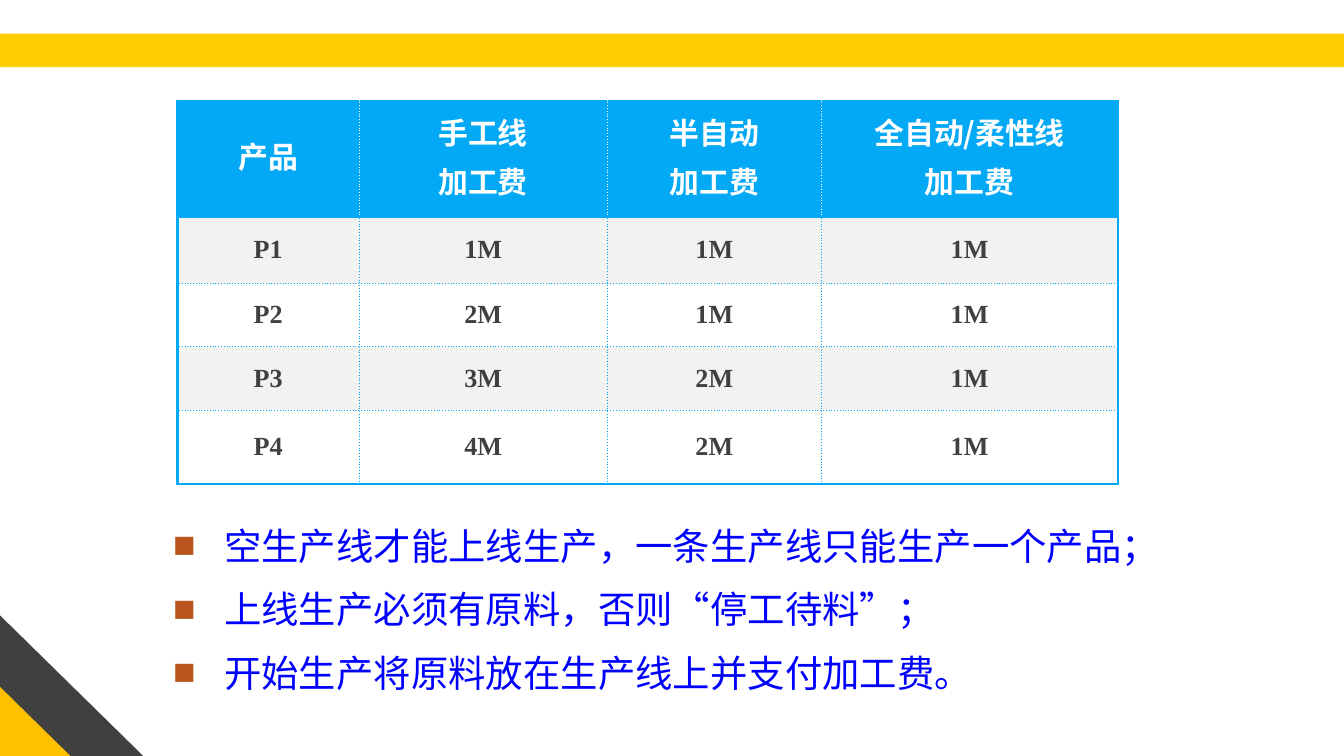
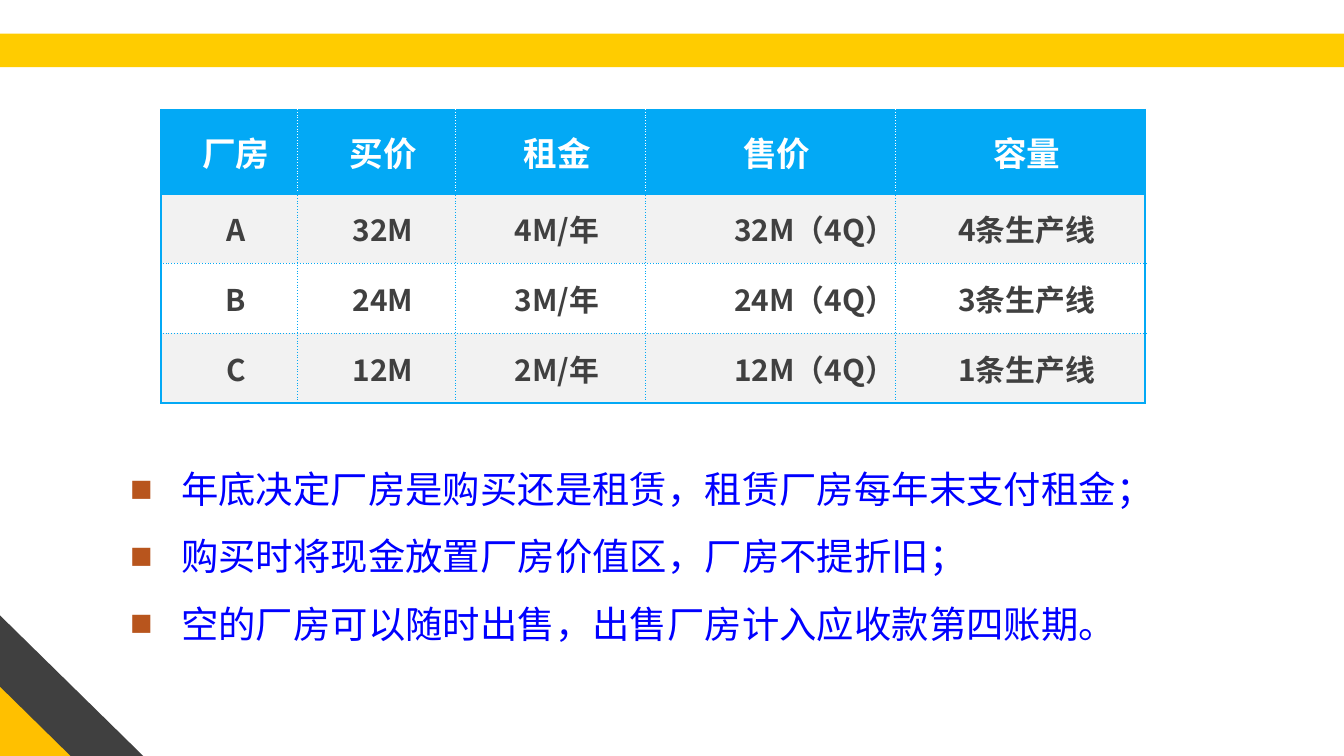
from dataclasses import dataclass
from typing import Optional

from lxml.etree import SubElement
from pptx import Presentation
from pptx.dml.color import RGBColor
from pptx.enum.shapes import MSO_SHAPE
from pptx.enum.text import MSO_ANCHOR, MSO_AUTO_SIZE, PP_ALIGN
from pptx.oxml import parse_xml
from pptx.oxml.ns import nsdecls, qn
from pptx.util import Inches, Pt

COLORS = {
    "band": "FFCC00",
    "corner": "FFC000",
    "dark": "404040",
    "header": "03A9F5",
    "stripe": "F2F2F2",
    "white": "FFFFFF",
    "note": "0000FF",
    "bullet": "B8551D",
}
SANS = "Noto Sans CJK SC"
SERIF = "Times New Roman"


@dataclass(frozen=True)
class Decoration:
    shape: MSO_SHAPE
    box: tuple[float, float, float, float]
    color: str
    flip: bool = False


@dataclass(frozen=True)
class FeeTable:
    left: float
    top: float
    widths: list[float]
    heights: list[float]
    rows: list[list[str]]
    header_size: int
    body_size: int
    body_font: str
    header_margins: tuple[float, float, float, float]
    body_margins: tuple[float, float, float, float]
    right_column: Optional[int] = None


@dataclass(frozen=True)
class Notes:
    box: tuple[float, float, float, float]
    lines: list[str]
    before: int = 0
    after: int = 0


DECORATIONS = [
    Decoration(MSO_SHAPE.RECTANGLE, (0, 0.25, 10, 0.25), "band"),
    Decoration(MSO_SHAPE.RIGHT_TRIANGLE, (0, 5.01, 0.64, 0.62), "corner"),
    Decoration(MSO_SHAPE.DIAGONAL_STRIPE, (0, 4.58, 1.08, 1.06), "dark", True),
]

PROCESSING_FEES = FeeTable(
    1.32, 0.75, [1.35, 1.85, 1.59, 2.21], [0.86, 0.5, 0.47, 0.47, 0.55],
    [
        ["产品", "手工线\n加工费", "半自动\n加工费", "全自动/柔性线\n加工费"],
        ["P1", "1M", "1M", "1M"],
        ["P2", "2M", "1M", "1M"],
        ["P3", "3M", "2M", "1M"],
        ["P4", "4M", "2M", "1M"],
    ],
    16, 14, SERIF, (0, 0.02, 0, 0.06), (0, 0.02, 0, 0.02),
)
PRODUCTION_NOTES = Notes(
    (1.19, 3.84, 8.1, 1.88),
    [
        "空生产线才能上线生产，一条生产线只能生产一个产品；",
        "上线生产必须有原料，否则“停工待料”；",
        "开始生产将原料放在生产线上并支付加工费。",
    ],
    before=10,
)
PLANT_PRICES = FeeTable(
    1.2, 0.82, [1.01, 1.18, 1.41, 1.86, 1.86], [0.62, 0.52, 0.52, 0.52],
    [
        ["厂房", "买价", "租金", "售价", "容量"],
        ["A", "32M", "4M/年", "32M（4Q）", "4条生产线"],
        ["B", "24M", "3M/年", "24M（4Q）", "3条生产线"],
        ["C", "12M", "2M/年", "12M（4Q）", "1条生产线"],
    ],
    18, 16, SANS, (0.1, 0.05, 0, 0.05), (0.1, 0.05, 0, 0.05), right_column=3,
)
PLANT_NOTES = Notes(
    (0.87, 3.42, 8.63, 1.45),
    [
        "年底决定厂房是购买还是租赁，租赁厂房每年末支付租金；",
        "购买时将现金放置厂房价值区，厂房不提折旧；",
        "空的厂房可以随时出售，出售厂房计入应收款第四账期。",
    ],
    after=12,
)


def rgb(name: str) -> RGBColor:
    return RGBColor.from_string(COLORS[name])


def format_runs(p, font: str, size: int, color: str, bold: bool = False) -> None:
    for r in p.runs:
        r.font.size = Pt(size)
        r.font.bold = bold
        r.font.name = font
        r.font.color.rgb = rgb(color)
        SubElement(r._r.get_or_add_rPr(), qn("a:ea"), typeface=font)


def decorate_layout(layout, slide) -> None:
    """Draw the shared shapes on a slide, then move them to its layout."""
    for item in DECORATIONS:
        sp = slide.shapes.add_shape(item.shape, *map(Inches, item.box))
        sp.shadow.inherit = False
        sp.fill.solid()
        sp.fill.fore_color.rgb = rgb(item.color)
        sp.line.fill.background()
        if item.flip:
            sp.element.spPr.find(qn("a:xfrm")).set("flipV", "1")
        layout.shapes.element.append(sp.element)


def set_borders(cell, row: int, col: int, last_row: int, last_col: int) -> None:
    """Solid lines frame the table and its header; dotted lines divide the rest."""
    inner = "white" if row == 0 else "header"
    solid = {
        "L": col == 0,
        "R": col == last_col,
        "T": row <= 1,
        "B": row in (0, last_row),
    }
    tcPr = cell._tc.get_or_add_tcPr()
    for i, (side, is_solid) in enumerate(solid.items()):
        color = COLORS["header" if is_solid else inner]
        width = Pt(1.5 if is_solid else 0.25)
        dash = "solid" if is_solid else "sysDot"
        tcPr.insert(i, parse_xml(
            f'<a:ln{side} {nsdecls("a")} w="{width}"><a:solidFill>'
            f'<a:srgbClr val="{color}"/></a:solidFill>'
            f'<a:prstDash val="{dash}"/></a:ln{side}>'))


def fill_cell(cell, data: FeeTable, row: int, col: int) -> None:
    is_header = row == 0
    margins = data.header_margins if is_header else data.body_margins
    (cell.margin_left, cell.margin_top,
     cell.margin_right, cell.margin_bottom) = map(Inches, margins)
    cell.vertical_anchor = MSO_ANCHOR.MIDDLE
    cell.fill.solid()
    cell.fill.fore_color.rgb = rgb(
        "header" if is_header else "stripe" if row % 2 else "white")
    tf = cell.text_frame
    tf.text = data.rows[row][col]
    size = data.header_size if is_header else data.body_size
    to_right = not is_header and col == data.right_column
    for i, p in enumerate(tf.paragraphs):
        p.alignment = PP_ALIGN.RIGHT if to_right else PP_ALIGN.CENTER
        if i:
            p.space_before = Pt(size * 0.2)
        format_runs(p, SANS if is_header else data.body_font, size,
                    "white" if is_header else "dark", bold=True)


def add_fee_table(slide, data: FeeTable) -> None:
    n_rows, n_cols = len(data.heights), len(data.widths)
    table = slide.shapes.add_table(
        n_rows, n_cols, Inches(data.left), Inches(data.top),
        Inches(sum(data.widths)), Inches(sum(data.heights))).table
    table.horz_banding = False
    for column, width in zip(table.columns, data.widths):
        column.width = Inches(width)
    for row, height in zip(table.rows, data.heights):
        row.height = Inches(height)
    for row in range(n_rows):
        for col in range(n_cols):
            cell = table.cell(row, col)
            fill_cell(cell, data, row, col)
            set_borders(cell, row, col, n_rows - 1, n_cols - 1)


def add_bullet(p) -> None:
    pPr = p._p.get_or_add_pPr()
    indent = Inches(0.38)
    pPr.set("marL", str(indent))
    pPr.set("indent", str(-indent))
    color = SubElement(pPr, qn("a:buClr"))
    SubElement(color, qn("a:srgbClr"), val=COLORS["bullet"])
    SubElement(pPr, qn("a:buFont"), typeface=SERIF)
    SubElement(pPr, qn("a:buChar"), char="■")


def add_notes(slide, notes: Notes) -> None:
    tf = slide.shapes.add_textbox(*map(Inches, notes.box)).text_frame
    tf.word_wrap = True
    tf.auto_size = MSO_AUTO_SIZE.SHAPE_TO_FIT_TEXT
    tf.text = "\n".join(notes.lines)
    for i, p in enumerate(tf.paragraphs):
        add_bullet(p)
        p.line_spacing = Pt(24)
        p.space_before = Pt(notes.before if i else 0)
        p.space_after = Pt(notes.after)
        format_runs(p, SANS, 20, "note")


def main() -> None:
    prs = Presentation()
    prs.slide_width = Inches(10)
    prs.slide_height = prs.slide_width * 9 // 16
    layout = prs.slide_layouts[6]
    pages = [(PROCESSING_FEES, PRODUCTION_NOTES), (PLANT_PRICES, PLANT_NOTES)]
    for i, (fees, notes) in enumerate(pages):
        s = prs.slides.add_slide(layout)
        if i == 0:
            decorate_layout(layout, s)
        add_fee_table(s, fees)
        add_notes(s, notes)
    prs.save("out.pptx")


if __name__ == "__main__":
    main()
